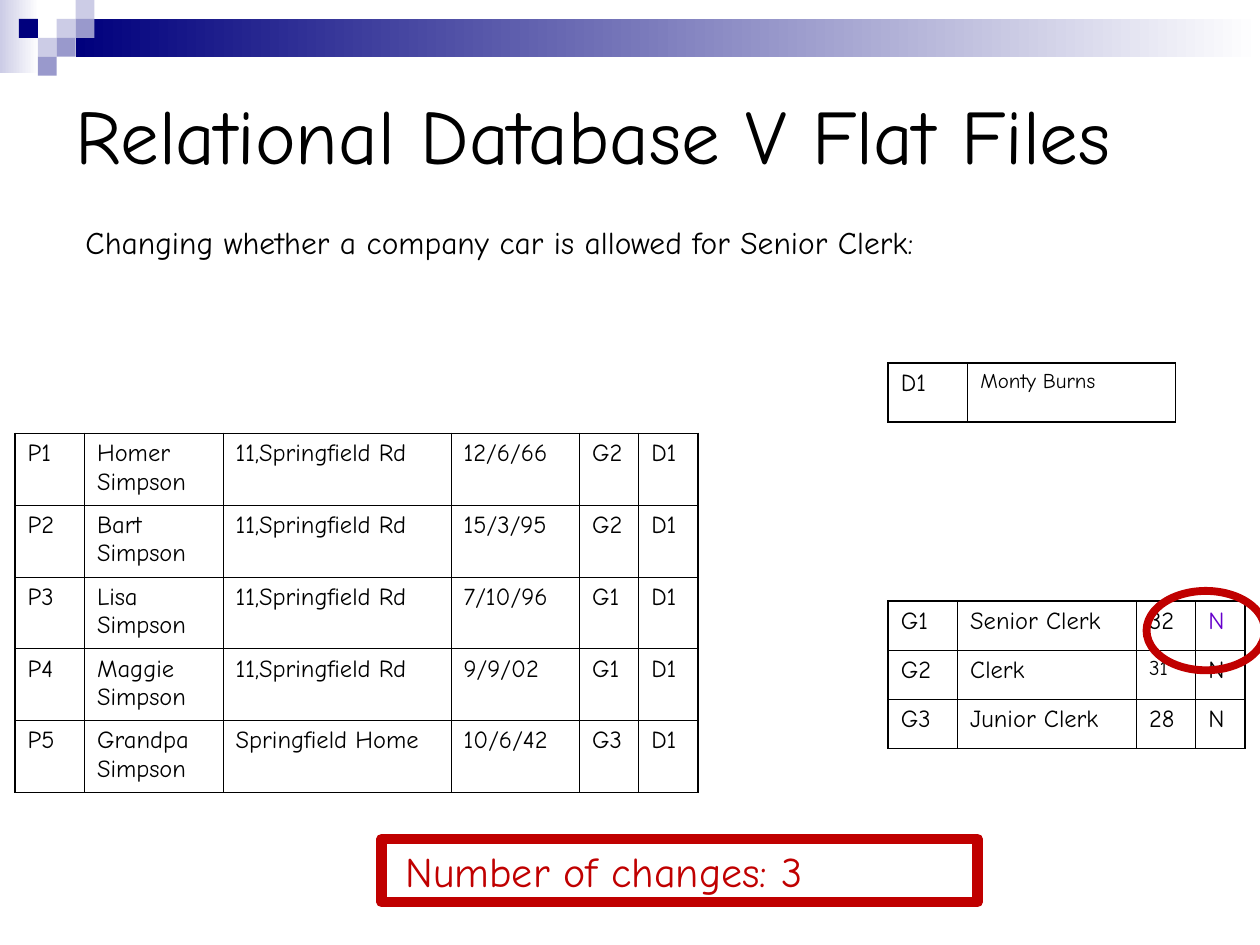
from dataclasses import dataclass, field

from lxml import etree
from pptx import Presentation
from pptx.dml.color import RGBColor
from pptx.enum import shapes, text
from pptx.oxml.ns import qn
from pptx.util import Inches, Pt

FONT = "Comic Neue"
COLORS = {
    "black": "000000", "white": "FFFFFF", "red": "C00000", "purple": "6600CC",
    "navy": "00007D", "lilac": "CCCCE6", "violet": "9999CC",
}
OUTER, INNER = 1.08, 0.45  # table border widths in points
UNIT = 0.15  # side of a decoration square


@dataclass
class Square:
    col: int
    row: int
    color: str


@dataclass
class Grid:
    left: float
    top: float
    widths: list[float]
    row_height: float
    rows: list[list[str]]
    formats: dict[tuple[int, int], dict] = field(default_factory=dict)


def rgb(name: str) -> RGBColor:
    return RGBColor.from_string(COLORS[name])


def write(tf, content: str, size: float = 14, color: str = "black",
          anchor=text.MSO_ANCHOR.TOP, wrap: bool = True, left: float = 0.1) -> None:
    tf.word_wrap = wrap
    tf.vertical_anchor = anchor
    tf.margin_left, tf.margin_right = Inches(left), Inches(0.1)
    tf.margin_top = tf.margin_bottom = Inches(0.05)
    p = tf.paragraphs[0]
    p.alignment = text.PP_ALIGN.LEFT
    p.space_before = Pt(0)
    r = p.add_run()
    r.text = content
    r.font.name, r.font.size = FONT, Pt(size)
    r.font.color.rgb = rgb(color)


def add_box(slide, kind, left: float, top: float, width: float, height: float,
            fill: list[str] = (), line: str = "", line_width: float = 0):
    """Add a shape; two fill colours make a left-to-right gradient."""
    sp = slide.shapes.add_shape(kind, Inches(left), Inches(top),
                                Inches(width), Inches(height))
    sp.shadow.inherit = False
    if len(fill) == 2:
        sp.fill.gradient()
        sp.fill.gradient_angle = 0
        for stop, color, position in zip(sp.fill.gradient_stops, fill, (0, 1)):
            stop.color.rgb = rgb(color)
            stop.position = position
    elif fill:
        sp.fill.solid()
        sp.fill.fore_color.rgb = rgb(fill[0])
    else:
        sp.fill.background()
    if line:
        sp.line.color.rgb = rgb(line)
        sp.line.width = Pt(line_width)
    else:
        sp.line.fill.background()
    return sp


def set_borders(cell, widths: dict[str, float]) -> None:
    tc_pr = cell._tc.get_or_add_tcPr()
    for i, (side, width) in enumerate(widths.items()):
        ln = etree.Element(qn(f"a:ln{side}"), w=str(Pt(width)))
        fill = etree.SubElement(ln, qn("a:solidFill"))
        etree.SubElement(fill, qn("a:srgbClr"), val=COLORS["black"])
        tc_pr.insert(i, ln)


def add_grid(slide, grid: Grid) -> None:
    n_rows, n_cols = len(grid.rows), len(grid.widths)
    table = slide.shapes.add_table(
        n_rows, n_cols, Inches(grid.left), Inches(grid.top),
        Inches(sum(grid.widths)), Inches(grid.row_height * n_rows)).table
    table.first_row = table.horz_banding = False
    for column, width in zip(table.columns, grid.widths):
        column.width = Inches(width)
    for i, values in enumerate(grid.rows):
        table.rows[i].height = Inches(grid.row_height)
        for j, value in enumerate(values):
            cell = table.cell(i, j)
            cell.fill.background()
            write(cell.text_frame, value, **grid.formats.get((i, j), {}))
            edges = {"L": j == 0, "R": j == n_cols - 1,
                     "T": i == 0, "B": i == n_rows - 1}
            set_borders(cell, {side: OUTER if outer else INNER
                               for side, outer in edges.items()})


SQUARES = [
    Square(3, 1, "lilac"), Square(4, 0, "lilac"), Square(4, 1, "violet"),
    Square(2, 2, "lilac"), Square(1, 1, "navy"), Square(3, 2, "violet"),
    Square(2, 3, "violet"),
]
ROAD = "11,Springfield Rd"
GRIDS = [
    # Departments
    Grid(7.05, 2.88, [0.63, 1.65], 0.47, [["D1", "Monty Burns"]],
         {(0, 1): {"size": 12}}),
    # Grades
    Grid(7.05, 4.77, [0.55, 1.42, 0.47, 0.39], 0.39, [
        ["G1", "Senior Clerk", "32", "N"],
        ["G2", "Clerk", "31", "N"],
        ["G3", "Junior Clerk", "28", "N"],
    ], {(0, 3): {"color": "purple"}, (1, 2): {"size": 12}}),
    # People
    Grid(0.12, 3.44, [0.55, 1.1, 1.81, 1.02, 0.47, 0.47], 0.57, [
        ["P1", "Homer Simpson", ROAD, "12/6/66", "G2", "D1"],
        ["P2", "Bart Simpson", ROAD, "15/3/95", "G2", "D1"],
        ["P3", "Lisa Simpson", ROAD, "7/10/96", "G1", "D1"],
        ["P4", "Maggie Simpson", ROAD, "9/9/02", "G1", "D1"],
        ["P5", "Grandpa Simpson", "Springfield Home", "10/6/42", "G3", "D1"],
    ]),
]


def main() -> None:
    prs = Presentation()
    prs.slide_width, prs.slide_height = Inches(10), Inches(7.5)
    slide = prs.slides.add_slide(prs.slide_layouts[5])
    rect = shapes.MSO_SHAPE.RECTANGLE

    # Header decoration
    add_box(slide, rect, 0, 0, 0.31, 0.58, ["lilac", "white"])
    add_box(slide, rect, 0.6, UNIT, 9.4, 0.3, ["navy", "white"])
    for sq in SQUARES:
        add_box(slide, rect, sq.col * UNIT, sq.row * UNIT, UNIT, UNIT, [sq.color])

    # Title
    title = slide.shapes.title
    title.left, title.top = Inches(0.5), Inches(0.5)
    title.width, title.height = Inches(9.5), Inches(1.12)
    write(title.text_frame, "Relational Database V Flat Files", size=44,
          anchor=text.MSO_ANCHOR.MIDDLE)

    # Tables
    for grid in GRIDS:
        add_grid(slide, grid)

    # Result box
    result = add_box(slide, rect, 3.03, 6.66, 4.73, 0.5, line="red", line_width=6)
    write(result.text_frame, "Number of changes: 3", size=24, color="red", left=0.19)

    # Question
    question = slide.shapes.add_textbox(Inches(0.58), Inches(1.72),
                                        Inches(6.78), Inches(0.4))
    write(question.text_frame,
          "Changing whether a company car is allowed for Senior Clerk:",
          size=18, wrap=False)

    # Ring around the changed value
    add_box(slide, shapes.MSO_SHAPE.OVAL, 9.1, 4.69, 0.94, 0.63,
            line="red", line_width=4.5)

    prs.save("out.pptx")


if __name__ == "__main__":
    main()
